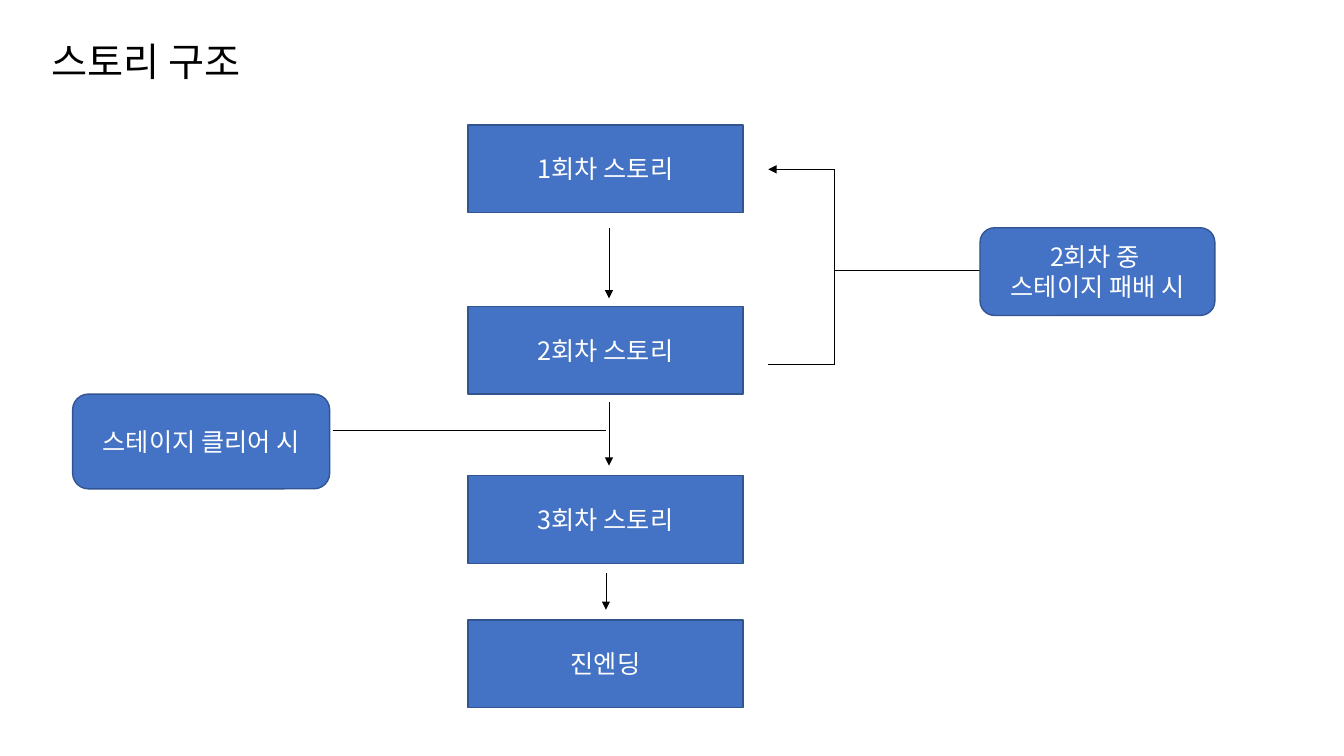
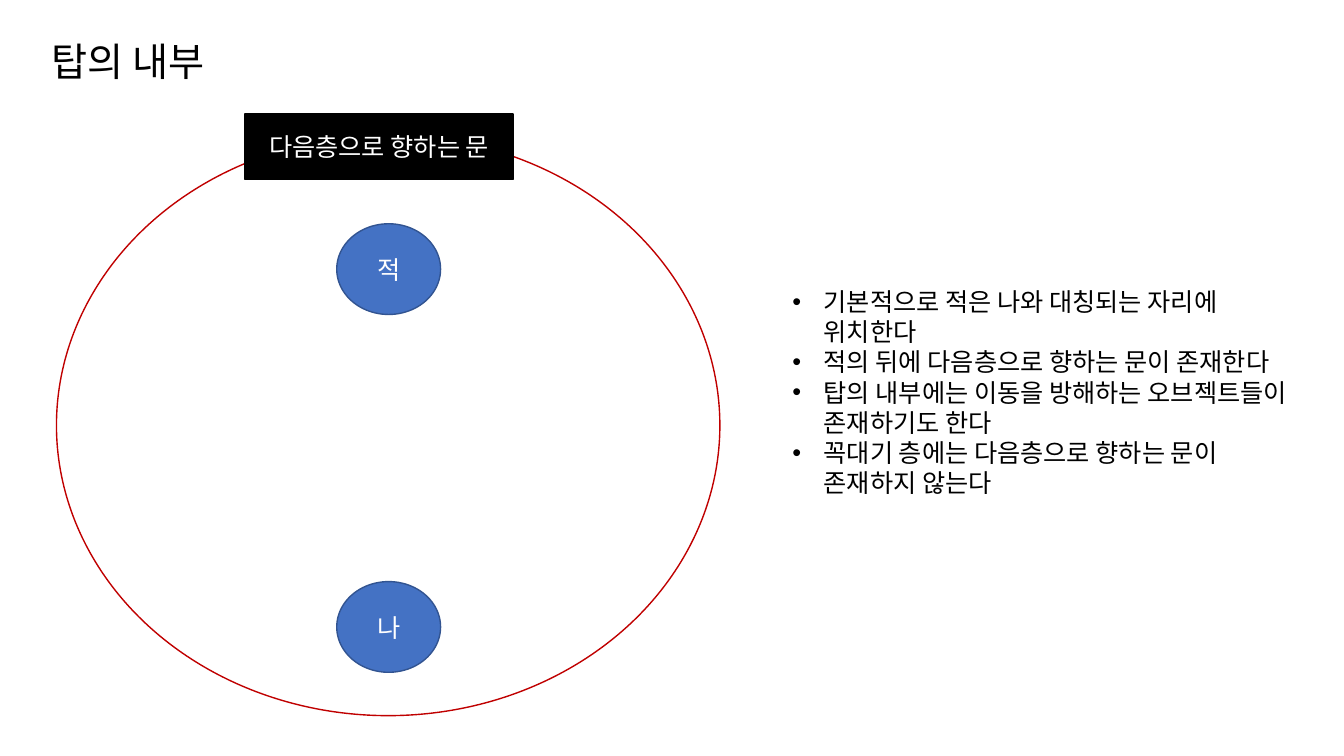
from dataclasses import dataclass

from lxml import etree
from pptx import Presentation
from pptx.dml.color import RGBColor
from pptx.enum.shapes import MSO_CONNECTOR, MSO_SHAPE
from pptx.enum.text import MSO_ANCHOR, MSO_AUTO_SIZE, PP_ALIGN
from pptx.oxml.ns import qn
from pptx.util import Inches, Pt

RECT = MSO_SHAPE.RECTANGLE
ROUNDED = MSO_SHAPE.ROUNDED_RECTANGLE
OVAL = MSO_SHAPE.OVAL
STRAIGHT = MSO_CONNECTOR.STRAIGHT
LEFT, CENTER = PP_ALIGN.LEFT, PP_ALIGN.CENTER
TOP, MIDDLE = MSO_ANCHOR.TOP, MSO_ANCHOR.MIDDLE
NO_FIT = MSO_AUTO_SIZE.NONE
TITLE_AND_BODY, TITLE_ONLY = 1, 5


@dataclass(frozen=True)
class Theme:
    font: str = "Noto Sans CJK KR"
    title_size: int = 28
    text_size: int = 18
    leading: float = 1.2
    outline: float = 1
    arrow: float = 0.5
    indent: float = 0.31
    black: RGBColor = RGBColor(0, 0, 0)
    white: RGBColor = RGBColor(255, 255, 255)
    blue: RGBColor = RGBColor(0x44, 0x72, 0xC4)
    navy: RGBColor = RGBColor(0x32, 0x54, 0x91)
    red: RGBColor = RGBColor(0xC0, 0, 0)


THEME = Theme()


def style_text(frame, size, color, align, anchor):
    frame.word_wrap = True
    frame.auto_size = NO_FIT
    frame.vertical_anchor = anchor
    for para in frame.paragraphs:
        para.alignment = align
        para.space_before = Pt(0)
        para.line_spacing = Pt(size * THEME.leading)
        font = para.font
        font.name = THEME.font
        font.size = Pt(size)
        font.color.rgb = color
        defaults = para._p.pPr.find(qn("a:defRPr"))
        etree.SubElement(defaults, qn("a:ea")).set("typeface", THEME.font)


def place(shape, left, top, width, height):
    shape.left, shape.top = Inches(left), Inches(top)
    shape.width, shape.height = Inches(width), Inches(height)


def add_page(deck, layout, title):
    page = deck.slides.add_slide(deck.slide_layouts[layout])
    heading = page.shapes.title
    place(heading, 0.41, 0.32, 12.5, 0.57)
    heading.text_frame.text = title
    style_text(heading.text_frame, THEME.title_size, THEME.black, LEFT, MIDDLE)
    return page


def add_box(page, kind, bounds, text="", fill=THEME.blue, line=THEME.navy):
    box = page.shapes.add_shape(kind, *map(Inches, bounds))
    box.shadow.inherit = False
    box.fill.solid()
    box.fill.fore_color.rgb = fill
    box.line.color.rgb = line
    box.line.width = Pt(THEME.outline)
    if text:
        box.text_frame.text = text
        style_text(box.text_frame, THEME.text_size, THEME.white, CENTER, MIDDLE)


def add_line(page, start, end, arrow=False):
    connector = page.shapes.add_connector(STRAIGHT, *map(Inches, (*start, *end)))
    connector.line.color.rgb = THEME.black
    connector.line.width = Pt(THEME.arrow)
    properties = connector._element.spPr
    if arrow:
        outline = properties.find(qn("a:ln"))
        etree.SubElement(outline, qn("a:tailEnd")).set("type", "triangle")
    etree.SubElement(properties, qn("a:effectLst"))


def fill_list(page, bounds, items):
    body = page.placeholders[1]
    place(body, *bounds)
    body.text_frame.text = "\n".join(items)
    for para in body.text_frame.paragraphs:
        properties = para._p.get_or_add_pPr()
        properties.set("marL", str(Inches(THEME.indent)))
        properties.set("indent", str(-Inches(THEME.indent)))
    style_text(body.text_frame, THEME.text_size, THEME.black, LEFT, TOP)


def build_story(deck):
    page = add_page(deck, TITLE_ONLY, "스토리 구조")
    stages = [
        (1.24, "1회차 스토리"),
        (3.04, "2회차 스토리"),
        (4.72, "3회차 스토리"),
        (6.15, "진엔딩"),
    ]
    for top, text in stages:
        add_box(page, RECT, (4.64, top, 2.73, 0.87), text)
    for x, top, bottom in [(6.04, 2.26, 2.96), (6.04, 3.99, 4.62), (6.01, 5.68, 6.05)]:
        add_line(page, (x, top), (x, bottom), arrow=True)

    add_line(page, (3.3, 4.27), (6.01, 4.27))
    add_box(page, ROUNDED, (0.72, 3.91, 2.55, 0.94), "스테이지 클리어 시")

    inner, outer, upper, lower = 7.62, 8.28, 1.68, 3.61
    add_line(page, (inner, lower), (outer, lower))
    add_line(page, (outer, lower), (outer, upper))
    add_line(page, (outer, upper), (inner, upper), arrow=True)
    add_line(page, (outer, 2.68), (9.72, 2.68))
    add_box(page, ROUNDED, (9.72, 2.26, 2.33, 0.87), "2회차 중 \n스테이지 패배 시")


def build_tower(deck):
    page = add_page(deck, TITLE_AND_BODY, "탑의 내부")
    add_box(page, OVAL, (0.56, 1.34, 6.58, 5.76), fill=THEME.white, line=THEME.red)
    add_box(page, RECT, (2.43, 1.13, 2.66, 0.65), "다음층으로 향하는 문",
            fill=THEME.black, line=THEME.black)
    for top, text in [(2.22, "적"), (5.77, "나")]:
        add_box(page, OVAL, (3.34, top, 1.03, 0.9), text)
    fill_list(page, (7.76, 2.79, 5.17, 2.52), [
        "기본적으로 적은 나와 대칭되는 자리에 위치한다",
        "적의 뒤에 다음층으로 향하는 문이 존재한다",
        "탑의 내부에는 이동을 방해하는 오브젝트들이 존재하기도 한다",
        "꼭대기 층에는 다음층으로 향하는 문이 존재하지 않는다",
    ])


def main():
    deck = Presentation()
    deck.slide_width, deck.slide_height = Inches(13.33), Inches(7.5)
    build_story(deck)
    build_tower(deck)
    deck.save("out.pptx")


if __name__ == "__main__":
    main()
